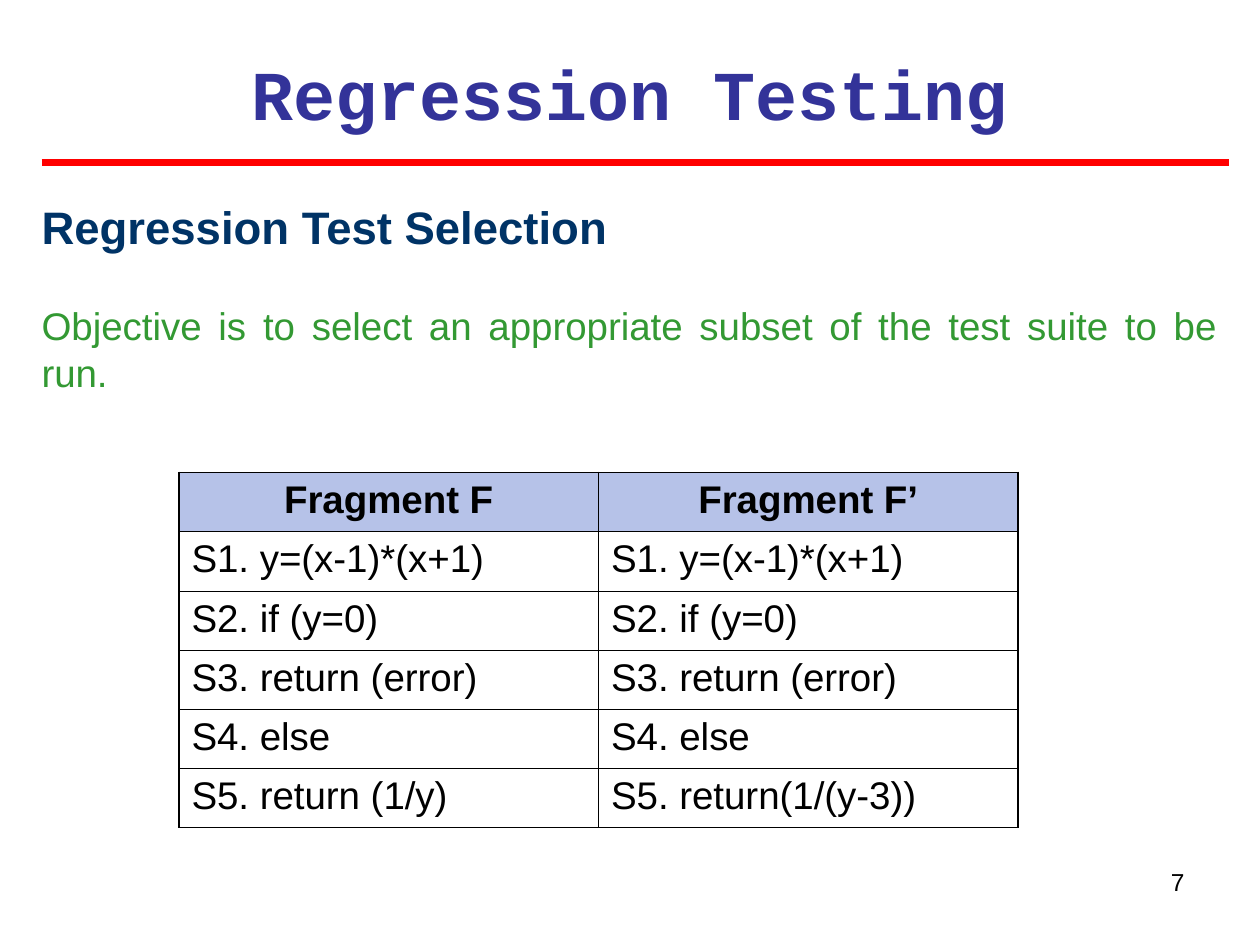
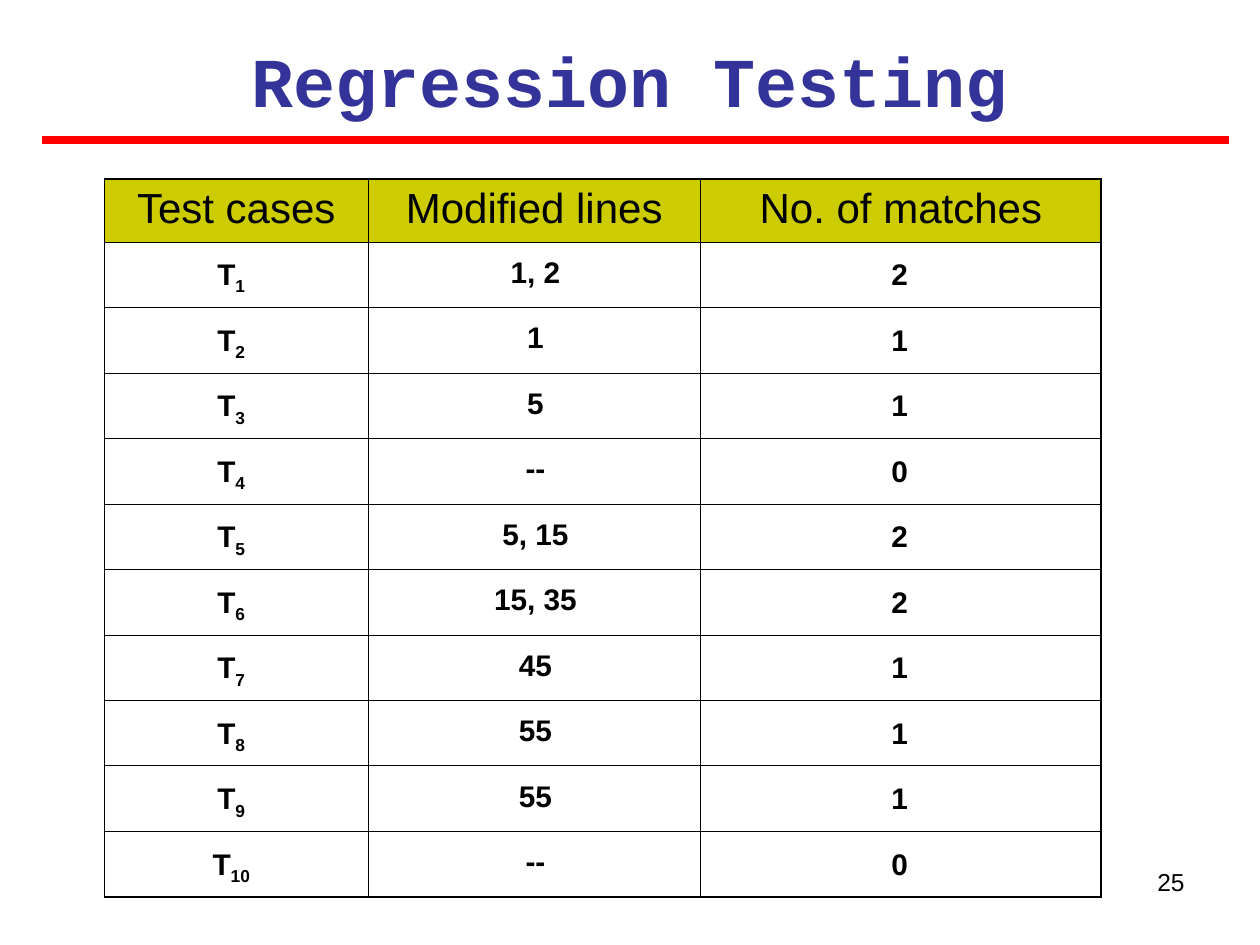
from lxml import etree
from pptx import Presentation
from pptx.dml.color import RGBColor
from pptx.enum.shapes import MSO_CONNECTOR
from pptx.enum.text import PP_ALIGN
from pptx.oxml.ns import qn
from pptx.util import Inches, Pt

BLACK = RGBColor(0x00, 0x00, 0x00)
RED = RGBColor(0xFF, 0x00, 0x00)
INDIGO = RGBColor(0x33, 0x33, 0x99)
NAVY = RGBColor(0x00, 0x33, 0x66)
GREEN = RGBColor(0x33, 0x99, 0x33)
PALE_BLUE = RGBColor(0xB6, 0xC2, 0xE8)
OLIVE = RGBColor(0xCC, 0xCC, 0x00)

LEFT, CENTER = PP_ALIGN.LEFT, PP_ALIGN.CENTER
RIGHT, JUSTIFY = PP_ALIGN.RIGHT, PP_ALIGN.JUSTIFY
STRAIGHT = MSO_CONNECTOR.STRAIGHT

BODY_FONT = "Arial"
TITLE_FONT = "Courier New"
OUTER_BORDER, INNER_BORDER = 1.08, 0.45
PLAIN_STYLE = "{2D5ABB26-0587-4C30-8999-92F81FD0307C}"

FRAGMENTS = [
    ("Fragment F", "Fragment F’"),
    ("S1. y=(x-1)*(x+1)", "S1. y=(x-1)*(x+1)"),
    ("S2. if (y=0)", "S2. if (y=0)"),
    ("S3. return (error)", "S3. return (error)"),
    ("S4. else", "S4. else"),
    ("S5. return (1/y)", "S5. return(1/(y-3))"),
]
MATCH_HEADER = ("Test cases", "Modified lines", "No. of matches")
MATCHES = [
    ("1, 2", "2"), ("1", "1"), ("5", "1"), ("--", "0"), ("5, 15", "2"),
    ("15, 35", "2"), ("45", "1"), ("55", "1"), ("55", "1"), ("--", "0"),
]


def add_run(paragraph, text, size, color=BLACK, bold=False, font=BODY_FONT):
    run = paragraph.add_run()
    run.text = text
    run.font.name = font
    run.font.size = Pt(size)
    run.font.bold = bold
    run.font.color.rgb = color
    return run


def add_box(slide, left, top, width, height, align, padded=False):
    """Add an empty text box and return its first paragraph."""
    box = slide.shapes.add_textbox(
        Inches(left), Inches(top), Inches(width), Inches(height))
    frame = box.text_frame
    frame.word_wrap = True
    frame.margin_left = frame.margin_right = Inches(0.1 if padded else 0)
    frame.margin_top = frame.margin_bottom = Inches(0.05 if padded else 0)
    paragraph = frame.paragraphs[0]
    paragraph.alignment = align
    return paragraph


def add_frame(slide, title_top, rule_top, number):
    """Add the title, the red rule below it and the slide number."""
    rule = slide.shapes.add_connector(
        STRAIGHT, Inches(0.33), Inches(rule_top), Inches(9.75), Inches(rule_top))
    rule.line.color.rgb = RED
    rule.line.width = Pt(4.5)
    etree.SubElement(rule._element.spPr, qn("a:effectLst"))
    title = add_box(slide, 0.33, title_top, 9.33, 0.77, CENTER, padded=True)
    add_run(title, "Regression Testing", 40, INDIGO, True, TITLE_FONT)
    page = add_box(slide, 7.17, 6.83, 2.33, 0.52, RIGHT, padded=True)
    add_run(page, str(number), 14)


def set_borders(cell, outer_sides):
    """Draw all four borders, with the outer sides heavier."""
    properties = cell._tc.get_or_add_tcPr()
    for index, side in enumerate(("lnL", "lnR", "lnT", "lnB")):
        width = OUTER_BORDER if side in outer_sides else INNER_BORDER
        line = etree.Element(qn("a:" + side), w=str(Pt(width)))
        fill = etree.SubElement(line, qn("a:solidFill"))
        etree.SubElement(fill, qn("a:srgbClr"), val=str(BLACK))
        properties.insert(index, line)


def add_grid(slide, left, top, widths, heights, header_color):
    """Add an empty bordered table with a coloured header row."""
    frame = slide.shapes.add_table(
        len(heights), len(widths), Inches(left), Inches(top),
        Inches(sum(widths)), Inches(sum(heights)))
    table = frame.table
    frame._element.find(".//" + qn("a:tableStyleId")).text = PLAIN_STYLE
    table.horz_banding = False
    for column, width in zip(table.columns, widths):
        column.width = Inches(width)
    for row, height in zip(table.rows, heights):
        row.height = Inches(height)
    last_row, last_column = len(heights) - 1, len(widths) - 1
    for i, row in enumerate(table.rows):
        for j, cell in enumerate(row.cells):
            if i == 0:
                cell.fill.solid()
                cell.fill.fore_color.rgb = header_color
            else:
                cell.fill.background()
            edges = {"lnL": j == 0, "lnR": j == last_column,
                     "lnT": i == 0, "lnB": i == last_row}
            set_borders(cell, [side for side, outer in edges.items() if outer])
    return table


def fill_row(table, row_index, texts, size, align, bold=False):
    for cell, text in zip(table.rows[row_index].cells, texts):
        paragraph = cell.text_frame.paragraphs[0]
        paragraph.alignment = align
        add_run(paragraph, text, size, bold=bold)


def build_selection(slide):
    add_frame(slide, 0.35, 1.29, 7)
    objective = add_box(slide, 0.33, 2.4, 9.33, 0.73, JUSTIFY)
    add_run(objective, "Objective is to select an appropriate subset of the "
            "test suite to be run.", 22, GREEN)
    heading = add_box(slide, 0.33, 1.58, 9.33, 0.43, JUSTIFY)
    add_run(heading, "Regression Test Selection", 26, NAVY, True)
    table = add_grid(slide, 1.42, 3.75, [3.33] * 2, [0.47] * len(FRAGMENTS),
                     PALE_BLUE)
    for index, texts in enumerate(FRAGMENTS):
        is_header = index == 0
        fill_row(table, index, texts, 22, CENTER if is_header else LEFT, is_header)


def build_matches(slide):
    add_frame(slide, 0.25, 1.11, 25)
    table = add_grid(slide, 0.83, 1.42, [2.09, 2.64, 3.18],
                     [0.5] + [0.52] * len(MATCHES), OLIVE)
    fill_row(table, 0, MATCH_HEADER, 24, CENTER)
    for index, (lines, count) in enumerate(MATCHES):
        top = 2.03 + 0.52 * index
        case = add_box(slide, 1.5, top, 0.67, 0.32, CENTER)
        add_run(case, "T", 17, bold=True)
        subscript = add_run(case, str(index + 1), 17, bold=True)
        subscript.font._element.set("baseline", "-25000")
        modified = add_box(slide, 3.58, top - 0.02, 1.34, 0.28, CENTER)
        add_run(modified, lines, 17, bold=True)
        matches = add_box(slide, 6.47, top, 1.34, 0.28, CENTER)
        add_run(matches, count, 17, bold=True)


def main():
    presentation = Presentation()
    presentation.slide_width = Inches(10)
    presentation.slide_height = Inches(7.5)
    blank = presentation.slide_layouts[6]
    for build in (build_selection, build_matches):
        build(presentation.slides.add_slide(blank))
    presentation.save("out.pptx")


if __name__ == "__main__":
    main()
